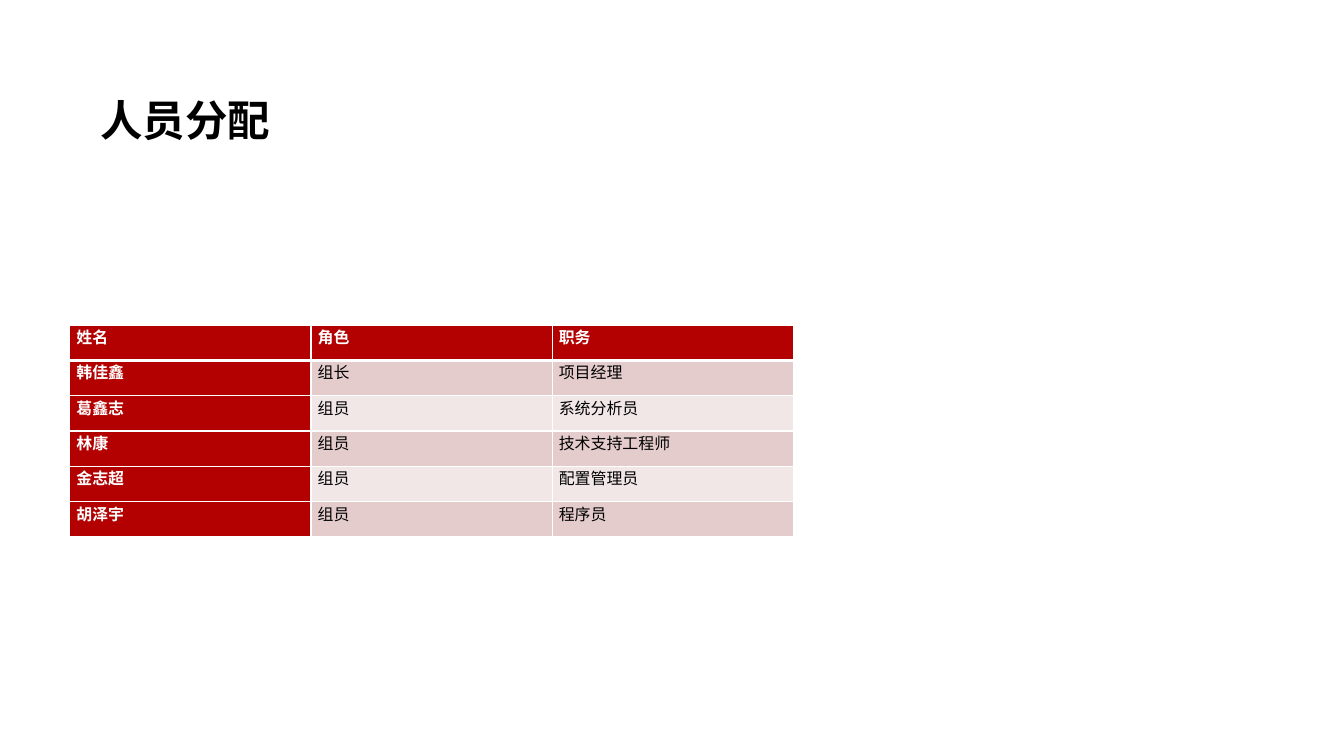
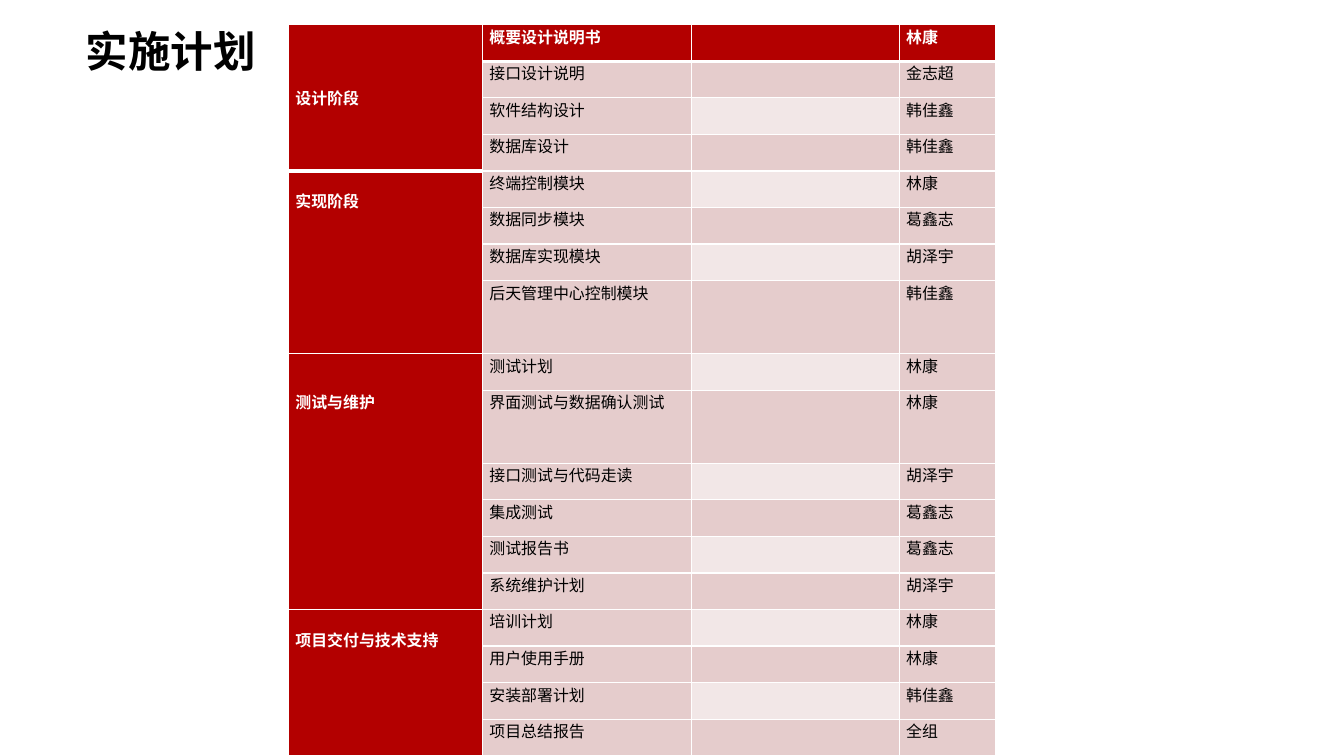
from collections import namedtuple
from lxml.etree import SubElement
from pptx import Presentation
from pptx.dml.color import RGBColor
from pptx.enum.text import MSO_ANCHOR as Anchor, MSO_AUTO_SIZE as AutoSize, PP_ALIGN as Align
from pptx.oxml.ns import qn
from pptx.util import Inches, Pt

Box = namedtuple("Box", "left top width height")
Phase = namedtuple("Phase", "name anchor drop tasks")

RED = RGBColor(0xB3, 0x00, 0x00)
ROSE = RGBColor(0xE5, 0xCC, 0xCC)
PALE = RGBColor(0xF2, 0xE7, 0xE7)
WHITE = RGBColor(0xFF, 0xFF, 0xFF)
BLACK = RGBColor(0x00, 0x00, 0x00)

THIN, THICK = 1, 3
LINE_DROP = 0.19

STAFF = [
    ("姓名", "角色", "职务"),
    ("韩佳鑫", "组长", "项目经理"),
    ("葛鑫志", "组员", "系统分析员"),
    ("林康", "组员", "技术支持工程师"),
    ("金志超", "组员", "配置管理员"),
    ("胡泽宇", "组员", "程序员"),
]

PLAN = [
    Phase("设计阶段", Anchor.MIDDLE, 0, [
        ("概要设计说明书", "林康"),
        ("接口设计说明", "金志超"),
        ("软件结构设计", "韩佳鑫"),
        ("数据库设计", "韩佳鑫"),
    ]),
    Phase("实现阶段", Anchor.TOP, LINE_DROP, [
        ("终端控制模块", "林康"),
        ("数据同步模块", "葛鑫志"),
        ("数据库实现模块", "胡泽宇"),
        ("后天管理中心控制模块", "韩佳鑫"),
    ]),
    Phase("测试与维护", Anchor.TOP, 2 * LINE_DROP, [
        ("测试计划", "林康"),
        ("界面测试与数据确认测试", "林康"),
        ("接口测试与代码走读", "胡泽宇"),
        ("集成测试", "葛鑫志"),
        ("测试报告书", "葛鑫志"),
        ("系统维护计划", "胡泽宇"),
    ]),
    Phase("项目交付与技术支持", Anchor.TOP, LINE_DROP, [
        ("培训计划", "林康"),
        ("用户使用手册", "林康"),
        ("安装部署计划", "韩佳鑫"),
        ("项目总结报告", "全组"),
    ]),
]
TALL_TASKS = {"后天管理中心控制模块", "界面测试与数据确认测试"}


def add_text(paragraph, text, font_name, size, color, bold):
    run = paragraph.add_run()
    run.text = text
    run.font.name = font_name
    run.font.size = Pt(size)
    run.font.bold = bold
    run.font.color.rgb = color


def add_title(slide, box, text, font_name):
    shape = slide.shapes.add_textbox(*map(Inches, box))
    frame = shape.text_frame
    frame.word_wrap = True
    frame.auto_size = AutoSize.SHAPE_TO_FIT_TEXT
    frame.vertical_anchor = Anchor.MIDDLE
    frame.margin_left = frame.margin_right = frame.margin_top = frame.margin_bottom = 0
    add_text(frame.paragraphs[0], text, font_name, 32, BLACK, True)


def set_borders(cell, top, bottom):
    properties = cell._tc.get_or_add_tcPr()
    widths = {"a:lnL": THIN, "a:lnR": THIN, "a:lnT": top, "a:lnB": bottom}
    for tag, width in widths.items():
        line = SubElement(properties, qn(tag), w=str(Pt(width)))
        fill = SubElement(line, qn("a:solidFill"))
        SubElement(fill, qn("a:srgbClr"), val=str(WHITE))


def style_cell(cell, fill, top=THIN, bottom=THIN):
    cell.margin_left = cell.margin_right = Inches(0.07)
    cell.margin_top = cell.margin_bottom = 0
    set_borders(cell, top, bottom)
    cell.fill.solid()
    cell.fill.fore_color.rgb = fill


def write_cell(cell, text, heading):
    paragraph = cell.text_frame.paragraphs[0]
    paragraph.alignment = Align.JUSTIFY
    add_text(paragraph, text, "Calibri", 12, WHITE if heading else BLACK, heading)


def add_grid(slide, box, column_weights, row_weights, rows, banded_columns, first_span=1):
    frame = slide.shapes.add_table(len(rows), len(column_weights), *map(Inches, box))
    table = frame.table
    for column, weight in zip(table.columns, column_weights):
        column.width = Inches(box.width * weight / sum(column_weights))
    for row, weight in zip(table.rows, row_weights):
        row.height = Inches(box.height * weight / sum(row_weights))
    for row_index, texts in enumerate(rows):
        for column_index, text in enumerate(texts):
            cell = table.cell(row_index, column_index)
            heading = row_index == 0 or column_index == 0
            pale = column_index in banded_columns and row_index % 2 == 0
            span = first_span if column_index == 0 else 1
            style_cell(
                cell,
                RED if heading else PALE if pale else ROSE,
                THICK if row_index == span else THIN,
                THICK if row_index in (0, span - 1) else THIN,
            )
            if text:
                write_cell(cell, text, heading)
    return table


def merge_phases(table, phases):
    start = 0
    for phase in phases:
        end = start + len(phase.tasks) - 1
        cell = table.cell(start, 0)
        cell.merge(table.cell(end, 0))
        cell.vertical_anchor = phase.anchor
        cell.margin_top = Inches(phase.drop)
        start = end + 1


def build_staff_slide(slide):
    add_grid(slide, Box(0.73, 3.4, 7.57, 2.22), [1] * 3, [1] * len(STAFF), STAFF, {1, 2})
    add_title(slide, Box(1.05, 0.98, 3.07, 0.54), "人员分配", "Arial")


def build_plan_slide(slide):
    add_title(slide, Box(0.9, 0.26, 3.07, 0.54), "实施计划", "Calibri")
    rows = [
        ("" if index else phase.name, task, "", owner)
        for phase in PLAN
        for index, (task, owner) in enumerate(phase.tasks)
    ]
    row_weights = [2 if row[1] in TALL_TASKS else 1 for row in rows]
    table = add_grid(slide, Box(3.02, 0.26, 7.4, 7.65), [2.03, 2.18, 2.18, 1.01],
                     row_weights, rows, {2}, len(PLAN[0].tasks))
    merge_phases(table, PLAN)


def main():
    presentation = Presentation()
    presentation.slide_width = Inches(14.06)
    presentation.slide_height = Inches(7.91)
    for build in (build_staff_slide, build_plan_slide):
        build(presentation.slides.add_slide(presentation.slide_layouts[6]))
    presentation.save("out.pptx")


if __name__ == "__main__":
    main()
